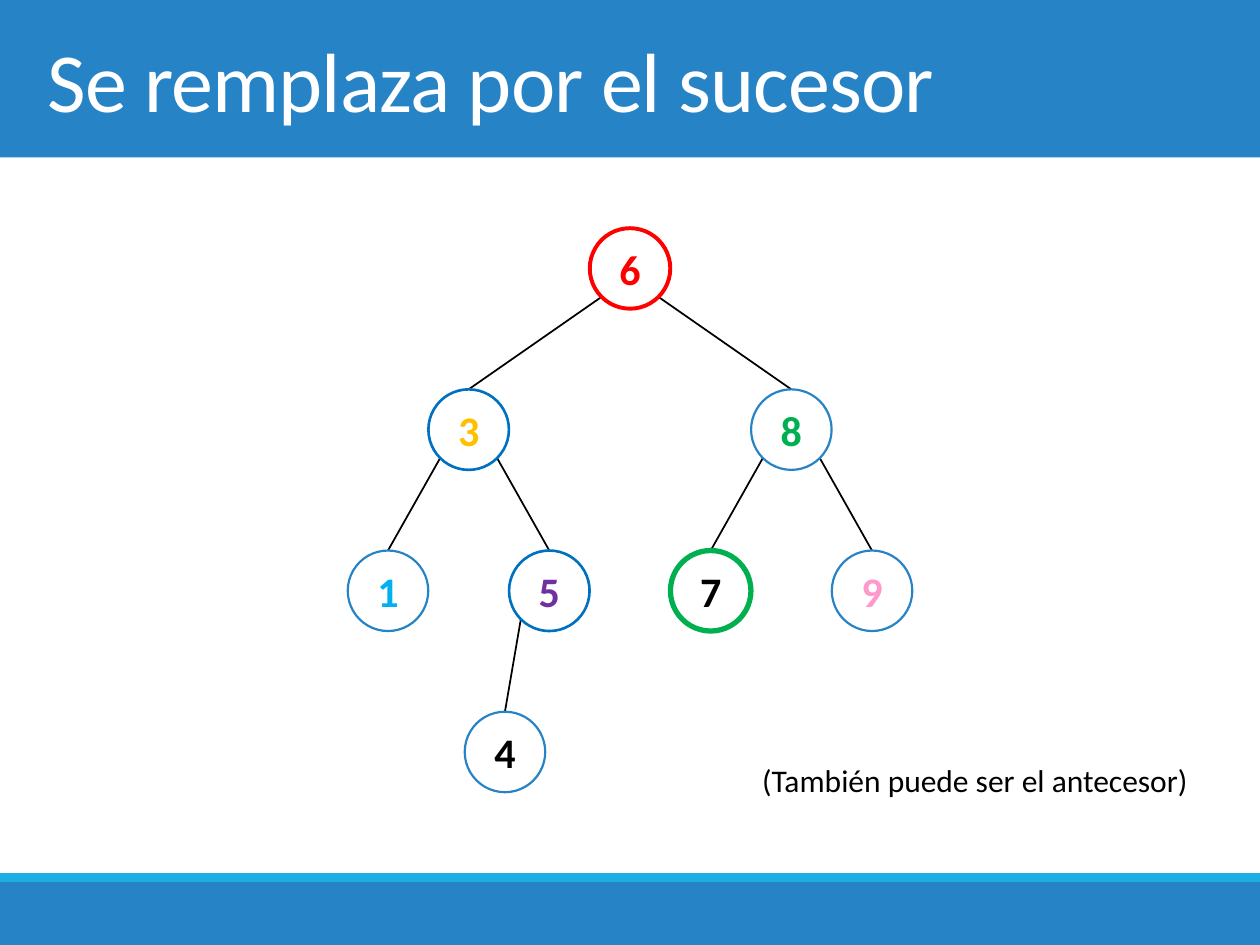
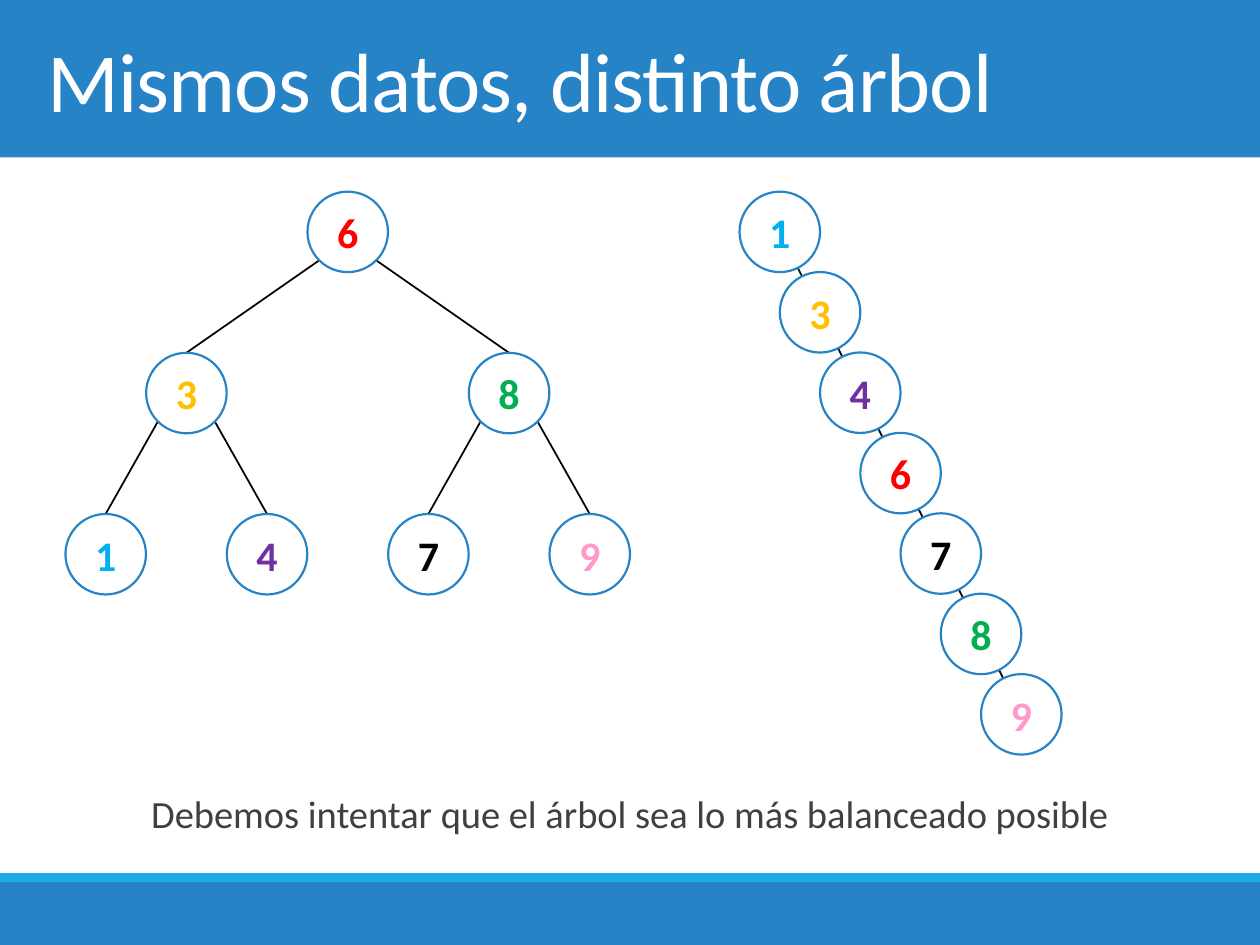
"""Build two slides that compare binary search trees."""
from math import cos, hypot, pi

from lxml.etree import SubElement
from pptx import Presentation
from pptx.dml.color import RGBColor as RGB
from pptx.enum.shapes import MSO_CONNECTOR as CONN, MSO_SHAPE as SHAPE
from pptx.enum.text import MSO_ANCHOR as ANCHOR, PP_ALIGN as ALIGN
from pptx.oxml.ns import qn
from pptx.util import Pt

WHITE = RGB(0xFF, 0xFF, 0xFF)
BLACK = RGB(0x00, 0x00, 0x00)
GRAY = RGB(0x40, 0x40, 0x40)
BLUE = RGB(0x26, 0x83, 0xC6)
DEEP_BLUE = RGB(0x00, 0x70, 0xC0)
CYAN = RGB(0x1C, 0xAD, 0xE4)
SKY = RGB(0x00, 0xB0, 0xF0)
RED = RGB(0xFF, 0x00, 0x00)
GREEN = RGB(0x00, 0xB0, 0x50)
GOLD = RGB(0xFF, 0xC0, 0x00)
PURPLE = RGB(0x70, 0x30, 0xA0)
PINK = RGB(0xFF, 0x99, 0xCC)

FONT = "Calibri"
DIAMETER = 46
RADIUS = DIAMETER / 2
UNIT = 46.1
LEVEL = 92.1
CHAIN_STEP = (23, 45.95)
KEY_COLORS = {1: SKY, 3: GOLD, 4: PURPLE, 5: PURPLE, 6: RED, 7: BLACK, 8: GREEN, 9: PINK}
PLAIN = (BLUE, 1.25)

TREE_EDGES = [(6, 3), (6, 8), (8, 7), (8, 9)]
TREE_SPOTS = {6: (0, 0), 3: (-2, 1), 8: (2, 1), 1: (-3, 2), 7: (1, 2), 9: (3, 2)}


def write(sp, text, size, color, bold=False, align=ALIGN.LEFT, anchor=ANCHOR.TOP):
    tf = sp.text_frame
    tf.word_wrap = True
    tf.vertical_anchor = anchor
    p = tf.paragraphs[0]
    p.alignment = align
    r = p.add_run()
    r.text = text
    for name, value in {"name": FONT, "size": Pt(size), "bold": bold}.items():
        setattr(r.font, name, value)
    r.font.color.rgb = color
    return p


def add_text(s, box, text, size, color, **layout):
    sp = s.shapes.add_textbox(*map(Pt, box))
    return write(sp, text, size, color, **layout)


def add_band(s, top, height, color):
    sp = s.shapes.add_shape(SHAPE.RECTANGLE, 0, Pt(top), Pt(720), Pt(height))
    sp.shadow.inherit = False
    sp.fill.solid()
    sp.fill.fore_color.rgb = color
    sp.line.fill.background()


def add_titled_slide(prs, title):
    s = prs.slides.add_slide(prs.slide_layouts[6])
    for band in [(0, 90, BLUE), (504, 36, BLUE), (499, 5, CYAN)]:
        add_band(s, *band)
    p = add_text(s, (20, 0, 680, 90), title, 48, WHITE, anchor=ANCHOR.MIDDLE)
    p.runs[0].font._element.set("spc", "-50")
    return s


def add_edge(s, start, end):
    c = s.shapes.add_connector(CONN.STRAIGHT, *map(Pt, (*start, *end)))
    c.line.color.rgb = BLACK
    c.line.width = Pt(1)
    SubElement(c._element.spPr, qn("a:effectLst"))


def add_node(s, center, key, color, outline=PLAIN):
    x, y = center
    box = (x - RADIUS, y - RADIUS, DIAMETER, DIAMETER)
    sp = s.shapes.add_shape(SHAPE.OVAL, *map(Pt, box))
    sp.shadow.inherit = False
    sp.fill.solid()
    sp.fill.fore_color.rgb = WHITE
    sp.line.color.rgb = outline[0]
    sp.line.width = Pt(outline[1])
    write(sp, str(key), 24, color, bold=True, align=ALIGN.CENTER, anchor=ANCHOR.MIDDLE)


def add_tree(s, root, spots, edges, colors=KEY_COLORS, outlines=None):
    centers = {key: (root[0] + dx * UNIT, root[1] + level * LEVEL)
               for key, (dx, level) in spots.items()}
    reach = RADIUS * cos(pi / 4)
    for parent, child in edges:
        (px, py), (cx, cy) = centers[parent], centers[child]
        side = reach if cx > px else -reach
        add_edge(s, (px + side, py + reach), (cx, cy - RADIUS))
    for key, center in centers.items():
        add_node(s, center, key, colors[key], (outlines or {}).get(key, PLAIN))


def add_chain(s, first, keys):
    dx, dy = CHAIN_STEP
    centers = [(first[0] + i * dx, first[1] + i * dy) for i in range(len(keys))]
    ux, uy = (RADIUS * d / hypot(dx, dy) for d in CHAIN_STEP)
    for (x1, y1), (x2, y2) in zip(centers, centers[1:]):
        add_edge(s, (x1 + ux, y1 + uy), (x2 - ux, y2 - uy))
    for center, key in zip(centers, keys):
        add_node(s, center, key, KEY_COLORS[key])


def build_successor(prs):
    s = add_titled_slide(prs, "Se remplaza por el sucesor")
    spots = {**TREE_SPOTS, 5: (-1, 2), 4: (-1.55, 3)}
    edges = TREE_EDGES + [(3, 1), (3, 5), (5, 4)]
    outlines = {6: (RED, 2.25), 7: (GREEN, 3), 3: (DEEP_BLUE, 1.5), 5: (DEEP_BLUE, 1.5)}
    add_tree(s, (360, 153.4), spots, edges, {**KEY_COLORS, 4: BLACK}, outlines)
    add_text(s, (428.4, 431.3, 262, 29), "(También puede ser el antecesor)", 18, BLACK)


def build_comparison(prs):
    s = add_titled_slide(prs, "Mismos datos, distinto árbol")
    p = add_text(s, (20, 435, 680, 52.5),
                 "Debemos intentar que el árbol sea lo más balanceado posible",
                 22, GRAY, align=ALIGN.CENTER)
    spacing = {"line_spacing": 1.5, "space_before": Pt(12), "space_after": Pt(2)}
    for name, value in spacing.items():
        setattr(p, name, value)
    add_tree(s, (198.7, 132.5), {**TREE_SPOTS, 4: (-1, 2)}, TREE_EDGES + [(3, 1), (3, 4)])
    add_chain(s, (445.6, 132.5), [1, 3, 4, 6, 7, 8, 9])


def main():
    prs = Presentation()
    prs.slide_width, prs.slide_height = Pt(720), Pt(540)
    build_successor(prs)
    build_comparison(prs)
    prs.save("out.pptx")


main()
